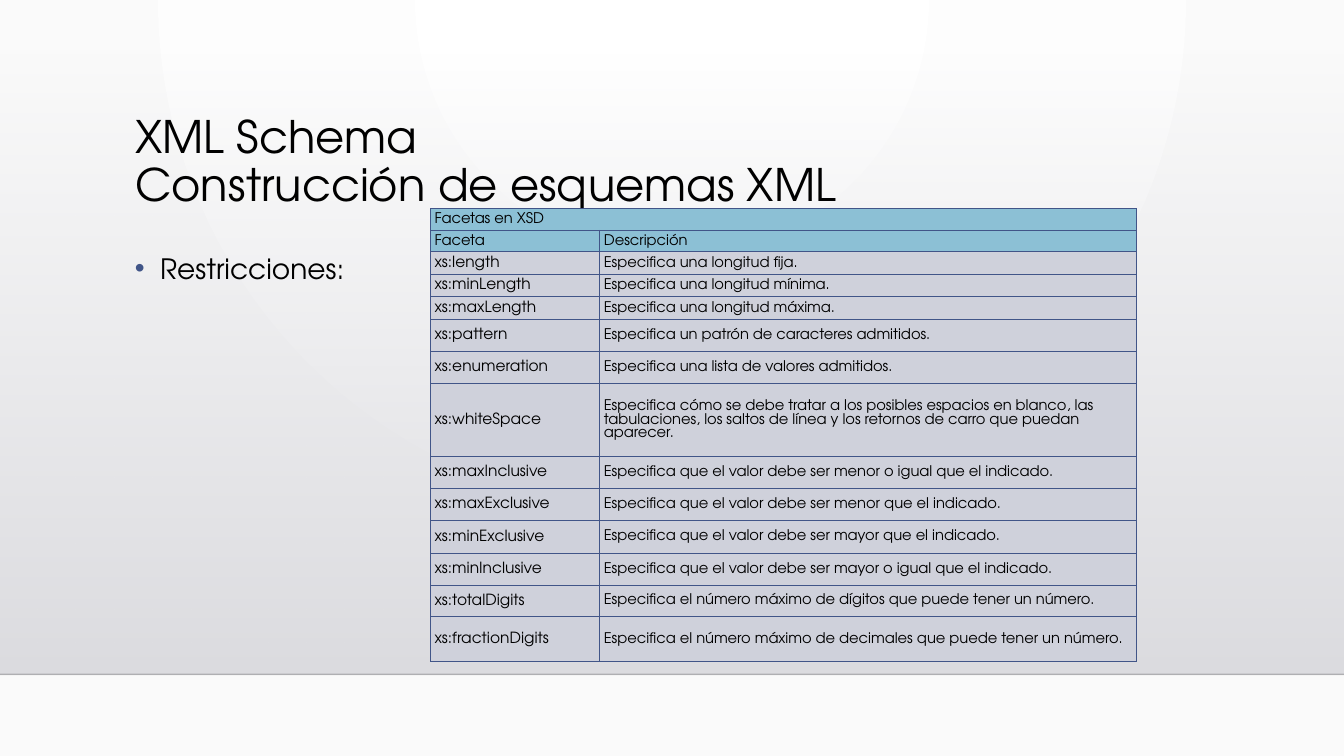
from dataclasses import dataclass

from lxml.etree import SubElement
from pptx import Presentation
from pptx.dml.color import RGBColor as RGB
from pptx.enum.shapes import MSO_CONNECTOR as CONN, MSO_SHAPE as SHAPE
from pptx.enum.text import MSO_ANCHOR as ANCHOR, MSO_AUTO_SIZE as AUTOSIZE, PP_ALIGN as ALIGN
from pptx.oxml.ns import qn
from pptx.util import Inches, Pt


@dataclass(frozen=True)
class Theme:
    font: str = "TeX Gyre Adventor"
    text: str = "000000"
    accent: str = "415588"
    header: str = "8CC0D5"
    cell: str = "CFD1DB"
    page: tuple = (("FFFFFF", 100), ("FAFAFA", 100))
    shade: tuple = (("DCDCE0", 0), ("DEDEE2", 100))
    floor: str = "000001"
    title_size: float = 32
    body_size: float = 20
    name_size: float = 11
    cell_size: float = 10.5


def add(parent, tag, **attrs):
    return SubElement(parent, qn(tag), {k: str(v) for k, v in attrs.items()})


def add_color(parent, color, alpha=100):
    clr = add(parent, "a:srgbClr", val=color)
    if alpha < 100:
        add(clr, "a:alpha", val=alpha * 1000)


class SlideBuilder:
    def __init__(self, prs, theme):
        self.theme = theme
        self.slide = prs.slides.add_slide(prs.slide_layouts[5])

    def gradient(self, fill, props, stops):
        fill.solid()
        solid = props.find(qn("a:solidFill"))
        grad = add(props, "a:gradFill", rotWithShape=1)
        props.replace(solid, grad)
        gs_lst = add(grad, "a:gsLst")
        for i, (color, alpha) in enumerate(stops):
            add_color(add(gs_lst, "a:gs", pos=i * 100000), color, alpha)
        return grad

    def background(self):
        fill = self.slide.background.fill
        fill.solid()
        props = self.slide.element.find(".//" + qn("p:bgPr"))
        grad = self.gradient(fill, props, self.theme.page)
        circle = add(grad, "a:path", path="circle")
        add(circle, "a:fillToRect", l=43000, t=0, r=43000, b=100000)

    def shade(self, x, y, w, h):
        sp = self.slide.shapes.add_shape(SHAPE.RECTANGLE, Inches(x), Inches(y), Inches(w), Inches(h))
        sp.shadow.inherit = False
        sp.line.fill.background()
        grad = self.gradient(sp.fill, sp.element.spPr, self.theme.shade)
        add(grad, "a:lin", ang=5400000, scaled=0)

    def floor_line(self, y, w):
        cn = self.slide.shapes.add_connector(CONN.STRAIGHT, 0, Inches(y), Inches(w), Inches(y))
        cn.line.width = Pt(1)
        cn.line.color.rgb = RGB.from_string(self.theme.floor)
        add(cn.element.spPr.find(".//" + qn("a:srgbClr")), "a:alpha", val=20000)
        add(cn.element.spPr, "a:effectLst")

    def run(self, p, text, size):
        r = p.add_run()
        r.text = text
        r.font.size = Pt(size)
        r.font.name = self.theme.font
        r.font.color.rgb = RGB.from_string(self.theme.text)

    def title(self, x, y, w, h, lines):
        sp = self.slide.shapes.title
        sp.left, sp.top, sp.width, sp.height = map(Inches, (x, y, w, h))
        sp.element.getparent().append(sp.element)
        tf = sp.text_frame
        tf.auto_size = AUTOSIZE.NONE
        tf.vertical_anchor = ANCHOR.MIDDLE
        p = tf.paragraphs[0]
        p.alignment = ALIGN.LEFT
        p.line_spacing = 0.9
        for i, line in enumerate(lines):
            if i:
                p.add_line_break()
                props = add(p._p[-1], "a:rPr", sz=self.theme.title_size * 100)
                add(props, "a:latin", typeface=self.theme.font)
            self.run(p, line, self.theme.title_size)

    def bullet(self, x, y, w, h, text):
        tf = self.slide.shapes.add_textbox(Inches(x), Inches(y), Inches(w), Inches(h)).text_frame
        tf.word_wrap = True
        p = tf.paragraphs[0]
        p.line_spacing = 1.2
        p.space_before = Pt(10)
        props = p._p.get_or_add_pPr()
        props.set("marL", str(Inches(0.25)))
        props.set("indent", str(-Inches(0.25)))
        add_color(add(props, "a:buClr"), self.theme.accent)
        add(props, "a:buFont", typeface="Arial")
        add(props, "a:buChar", char="•")
        self.run(p, text, self.theme.body_size)

    def cell(self, cell, text, size, fill):
        cell.margin_left = cell.margin_right = Inches(0.04)
        cell.margin_top = cell.margin_bottom = Inches(0.02)
        cell.vertical_anchor = ANCHOR.MIDDLE
        props = cell._tc.get_or_add_tcPr()
        for side in ("a:lnL", "a:lnR", "a:lnT", "a:lnB"):
            ln = add(props, side, w=Pt(0.75))
            add_color(add(ln, "a:solidFill"), self.theme.accent)
        cell.fill.solid()
        cell.fill.fore_color.rgb = RGB.from_string(fill)
        if text:
            self.run(cell.text_frame.paragraphs[0], text, size)

    def table(self, x, y, widths, heights, rows, header_rows):
        th = self.theme
        tbl = self.slide.shapes.add_table(
            len(rows), len(widths), Inches(x), Inches(y),
            Inches(sum(widths)), Inches(sum(heights))).table
        for col, width in zip(tbl.columns, widths):
            col.width = Inches(width)
        for i, (row, height) in enumerate(zip(rows, heights)):
            tbl.rows[i].height = Inches(height)
            header = i < header_rows
            for j, text in enumerate(row):
                size = th.cell_size if header or j else th.name_size
                self.cell(tbl.cell(i, j), text, size, th.header if header else th.cell)
        tbl.cell(0, 0).merge(tbl.cell(0, len(widths) - 1))


FACETS = [
    ("Facetas en XSD", ""),
    ("Faceta", "Descripción"),
    ("xs:length", "Especifica una longitud fija."),
    ("xs:minLength", "Especifica una longitud mínima."),
    ("xs:maxLength", "Especifica una longitud máxima."),
    ("xs:pattern", "Especifica un patrón de caracteres admitidos."),
    ("xs:enumeration", "Especifica una lista de valores admitidos."),
    ("xs:whiteSpace", "Especifica cómo se debe tratar a los posibles espacios en blanco, las "
     "tabulaciones, los saltos de línea y los retornos de carro que puedan aparecer."),
    ("xs:maxInclusive", "Especifica que el valor debe ser menor o igual que el indicado."),
    ("xs:maxExclusive", "Especifica que el valor debe ser menor que el indicado."),
    ("xs:minExclusive", "Especifica que el valor debe ser mayor que el indicado."),
    ("xs:minInclusive", "Especifica que el valor debe ser mayor o igual que el indicado."),
    ("xs:totalDigits", "Especifica el número máximo de dígitos que puede tener un número."),
    ("xs:fractionDigits", "Especifica el número máximo de decimales que puede tener un número."),
]
ROW_HEIGHTS = [0.21] * 5 + [0.32] * 2 + [0.72] + [0.32] * 4 + [0.31, 0.45]


def main():
    prs = Presentation()
    prs.slide_width, prs.slide_height = Inches(13.33), Inches(7.5)
    s = SlideBuilder(prs, Theme())
    s.background()
    s.shade(0, 0.51, 13.33, 6.18)
    s.floor_line(6.69, 13.33)
    s.title(1.24, 1.04, 10.5, 1.15, ["XML Schema", "Construcción de esquemas XML"])
    s.bullet(1.24, 2.38, 10.5, 3.6, "Restricciones:")
    s.table(4.27, 2.07, [1.68, 5.32], ROW_HEIGHTS, FACETS, header_rows=2)
    prs.save("out.pptx")


if __name__ == "__main__":
    main()
